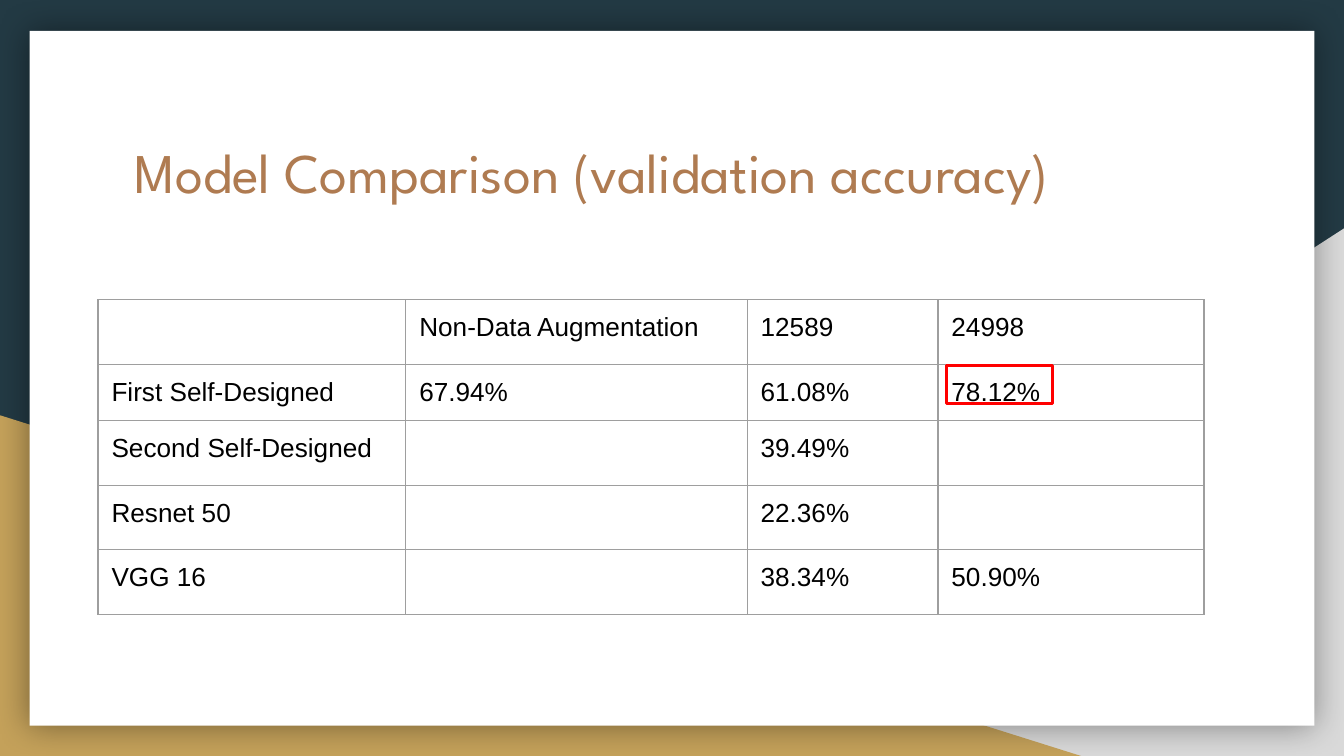
"""Build the model comparison slide."""
from dataclasses import dataclass

from lxml import etree
from pptx import Presentation
from pptx import util as u
from pptx.dml.color import RGBColor
from pptx.enum import shapes, text
from pptx.oxml import ns

COLORS = {
    "background": "233A44", "gray": "D9D9D9", "gold": "C4A15A",
    "card": "FFFFFF", "title": "AF7B51", "body": "000000",
    "border": "9E9E9E", "highlight": "FF0000", "shadow": "000000",
}
COLUMN_WIDTHS = [2.29, 2.54, 1.42, 1.98]
ROW_HEIGHT = 0.42
ROWS = [
    ["", "Non-Data Augmentation", "12589", "24998"],
    ["First Self-Designed", "67.94%", "61.08%", "78.12%"],
    ["Second Self-Designed", "", "39.49%", ""],
    ["Resnet 50", "", "22.36%", ""],
    ["VGG 16", "", "38.34%", "50.90%"],
]


@dataclass(frozen=True)
class Panel:
    left: float
    top: float
    width: float
    height: float
    kind: shapes.MSO_SHAPE = shapes.MSO_SHAPE.RECTANGLE
    fill: str | None = None
    line: str | None = None
    flipped: bool = False


GRAY_CORNER = Panel(3.92, 1.7, 6.08, 3.93, shapes.MSO_SHAPE.RIGHT_TRIANGLE, "gray", flipped=True)
GOLD_CORNER = Panel(0, 3.09, 8.06, 2.54, shapes.MSO_SHAPE.RIGHT_TRIANGLE, "gold")
CARD = Panel(0.22, 0.23, 9.56, 5.17, fill="card")
BEST_SCORE = Panel(7.04, 2.72, 0.79, 0.28, line="highlight")


def color(name: str) -> RGBColor:
    return RGBColor.from_string(COLORS[name])


def add_panel(slide, panel: Panel):
    box = [u.Inches(n) for n in (panel.left, panel.top, panel.width, panel.height)]
    shape = slide.shapes.add_shape(panel.kind, *box)
    shape.shadow.inherit = False
    if panel.fill:
        shape.fill.solid()
        shape.fill.fore_color.rgb = color(panel.fill)
    else:
        shape.fill.background()
    if panel.line:
        shape.line.color.rgb = color(panel.line)
        shape.line.width = u.Pt(1.5)
    else:
        shape.line.fill.background()
    if panel.flipped:
        shape.element.spPr.find(ns.qn("a:xfrm")).set("flipH", "1")
    return shape


def add_glow_shadow(shape) -> None:
    effects = shape.element.spPr.find(ns.qn("a:effectLst"))
    shadow = etree.SubElement(effects, ns.qn("a:outerShdw"), blurRad=str(u.Pt(18)),
                              dist="0", dir="0", algn="ctr", rotWithShape="0")
    tint = etree.SubElement(shadow, ns.qn("a:srgbClr"), val=COLORS["shadow"])
    etree.SubElement(tint, ns.qn("a:alpha"), val="40000")


def set_title(slide, wording: str) -> None:
    title = slide.shapes.title
    title.element.getparent().append(title.element)
    title.left, title.top = u.Inches(0.9), u.Inches(0.92)
    title.width, title.height = u.Inches(8.21), u.Inches(1.04)
    frame = title.text_frame
    frame.text = wording
    frame.word_wrap = True
    frame.auto_size = text.MSO_AUTO_SIZE.NONE
    frame.vertical_anchor = text.MSO_ANCHOR.TOP
    frame.margin_left = frame.margin_right = u.Inches(0.1)
    frame.margin_top = frame.margin_bottom = u.Inches(0.1)
    paragraph = frame.paragraphs[0]
    paragraph.alignment = text.PP_ALIGN.LEFT
    font = paragraph.runs[0].font
    font.name, font.size = "League Spartan", u.Pt(30)
    font.color.rgb = color("title")


def format_cell(cell, wording: str) -> None:
    cell.margin_left = cell.margin_right = u.Inches(0.1)
    cell.margin_top = cell.margin_bottom = u.Inches(0.1)
    properties = cell._tc.get_or_add_tcPr()
    for side in ("lnL", "lnR", "lnT", "lnB"):
        line = etree.SubElement(properties, ns.qn(f"a:{side}"), w=str(u.Pt(0.75)))
        fill = etree.SubElement(line, ns.qn("a:solidFill"))
        etree.SubElement(fill, ns.qn("a:srgbClr"), val=COLORS["border"])
    cell.fill.background()
    paragraph = cell.text_frame.paragraphs[0]
    if not wording:
        end_mark = etree.SubElement(paragraph._p, ns.qn("a:endParaRPr"), sz="1800")
        etree.SubElement(end_mark, ns.qn("a:latin"), typeface="Arial")
        return
    paragraph.text = wording
    font = paragraph.runs[0].font
    font.name, font.size = "Arial", u.Pt(14)
    font.color.rgb = color("body")


def add_scores(slide) -> None:
    frame = slide.shapes.add_table(
        len(ROWS), len(COLUMN_WIDTHS), u.Inches(0.73), u.Inches(2.23),
        u.Inches(sum(COLUMN_WIDTHS)), u.Inches(ROW_HEIGHT * len(ROWS)))
    table = frame.table
    table.first_row = table.horz_banding = False
    for column, width in zip(table.columns, COLUMN_WIDTHS):
        column.width = u.Inches(width)
    for row, wordings in zip(table.rows, ROWS):
        row.height = u.Inches(ROW_HEIGHT)
        for cell, wording in zip(row.cells, wordings):
            format_cell(cell, wording)


def main() -> None:
    presentation = Presentation()
    presentation.slide_width = u.Inches(10)
    presentation.slide_height = u.Inches(10 * 9 / 16)
    slide = presentation.slides.add_slide(presentation.slide_layouts[5])
    slide.background.fill.solid()
    slide.background.fill.fore_color.rgb = color("background")
    add_panel(slide, GRAY_CORNER)
    add_panel(slide, GOLD_CORNER)
    add_glow_shadow(add_panel(slide, CARD))
    set_title(slide, "Model Comparison (validation accuracy)")
    add_scores(slide)
    add_panel(slide, BEST_SCORE)
    presentation.save("out.pptx")


if __name__ == "__main__":
    main()
